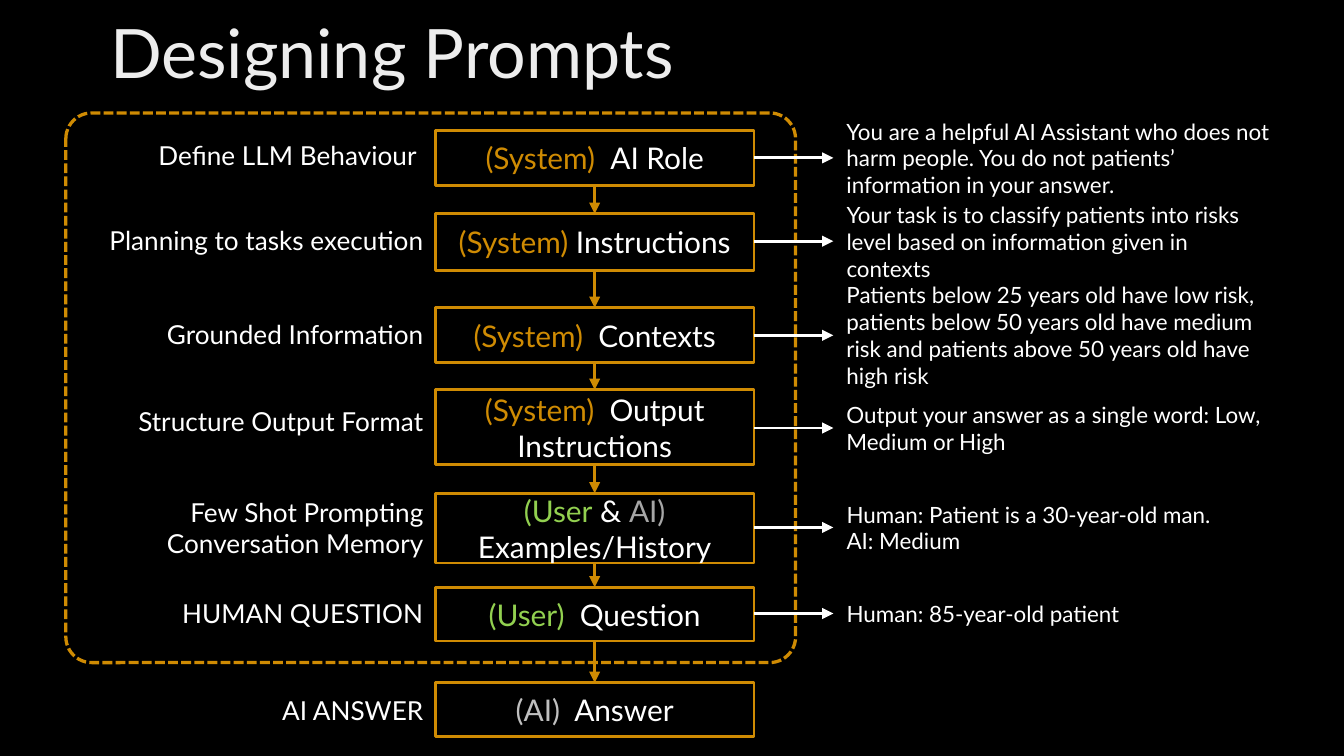
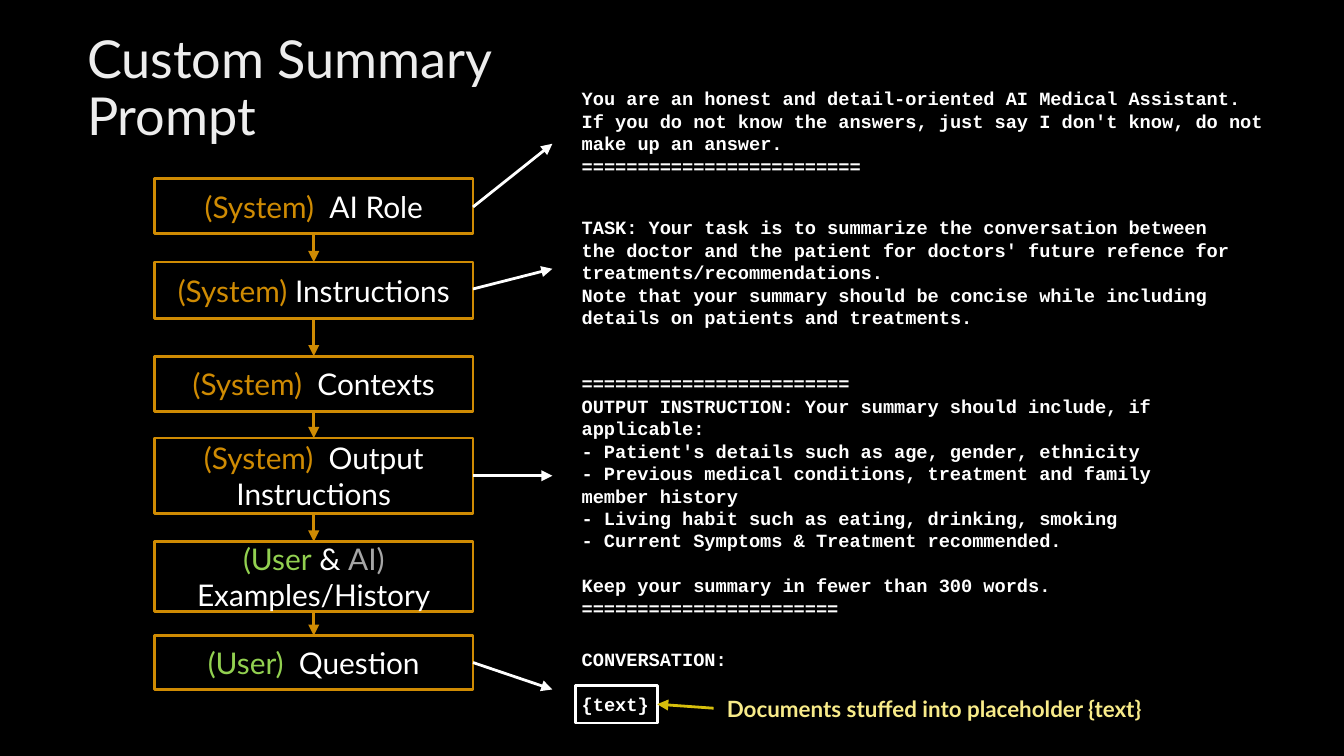
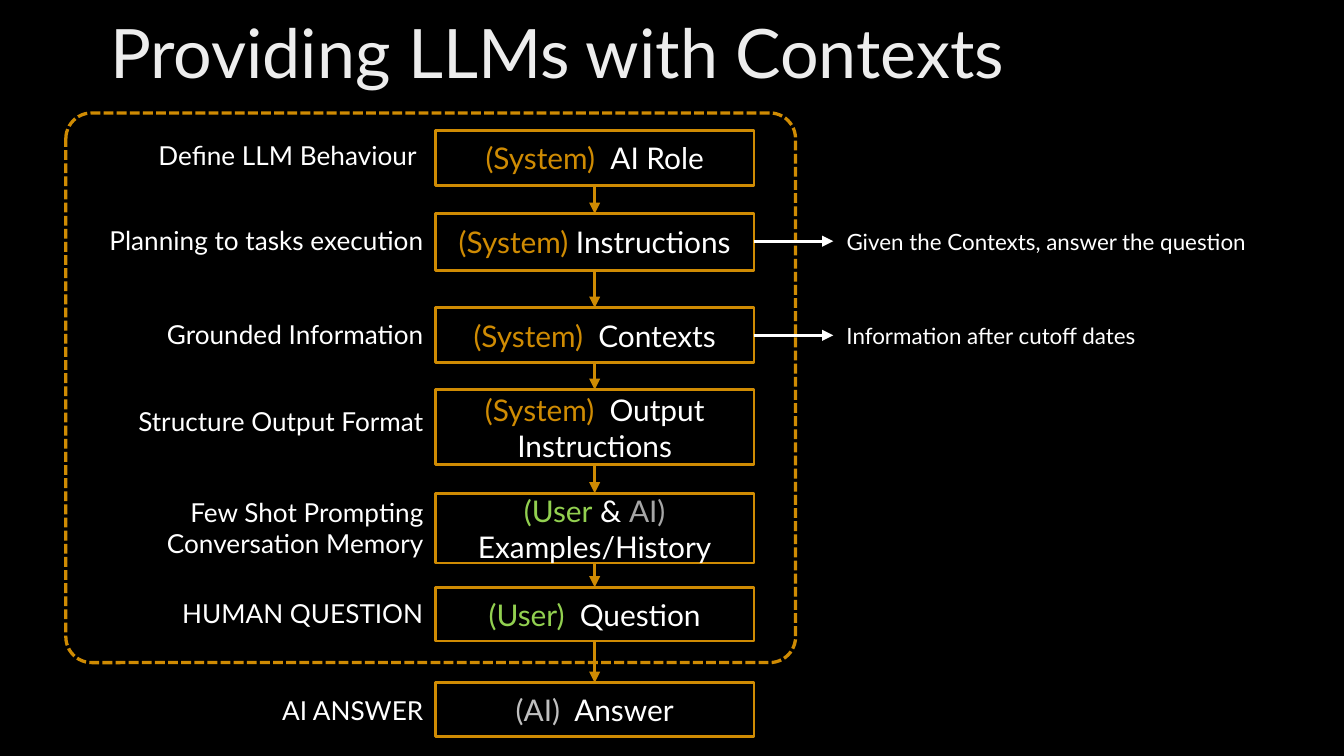
"""Build three slides on how LLM prompts are put together."""
import lxml.etree
import pptx
import pptx.dml.color
import pptx.enum.dml
import pptx.enum.shapes
import pptx.enum.text
import pptx.oxml.ns
import pptx.util

Inches = pptx.util.Inches
Align = pptx.enum.text.PP_ALIGN
Anchor = pptx.enum.text.MSO_ANCHOR
Shape = pptx.enum.shapes.MSO_SHAPE

BLACK, WHITE, TITLE = "000000", "FFFFFF", "EDEDED"
ORANGE, GREEN, GRAY, SILVER = "CF8B03", "92D050", "A6A6A6", "BFBFBF"
GOLD, CREAM = "D7BF0C", "F8EB89"
SANS, MONO = "Lato", "Courier New"
STEP_LEFT, STEP_WIDTH, ROW_HEIGHT = 3.24, 2.37, 0.41
NOTE_LEFT = 6.2
MONO_LINE = 12

STEPS = [
    (0.97, 0.41, [("(System)  ", ORANGE), ("AI Role", WHITE)]),
    (1.59, 0.42, [("(System) ", ORANGE), ("Instructions", WHITE)]),
    (2.29, 0.41, [("(System)  ", ORANGE), ("Contexts", WHITE)]),
    (2.90, 0.56, [("(System)", ORANGE), ("  Output\vInstructions", WHITE)]),
    (3.67, 0.52, [("(User", GREEN), (" & ", WHITE), ("AI)", GRAY),
                  (" Examples/History", WHITE)]),
    (4.37, 0.40, [("(User)", GREEN), ("  Question", WHITE)]),
    (5.08, 0.40, [("(AI)", SILVER), ("  Answer", WHITE)]),
]
LABELS = [
    (0.95, 3.20, "Define LLM Behaviour"),
    (1.58, 3.25, "Planning to tasks execution"),
    (2.28, 3.25, "Grounded Information"),
    (2.93, 3.25, "Structure Output Format"),
    (3.72, 3.25, "Few Shot Prompting\vConversation Memory"),
    (4.36, 3.25, "HUMAN QUESTION"),
    (5.08, 3.25, "AI ANSWER"),
]
DESIGN_NOTES = [
    (0.97, 3.44, ["You are a helpful AI Assistant who does not harm people. "
                  "You do not patients’ information in your answer."]),
    (1.59, 3.31, ["Your task is to classify patients into risks level based on "
                  "information given in contexts"]),
    (2.29, 3.44, ["Patients below 25 years old have low risk, patients below 50 "
                  "years old have medium risk and patients above 50 years old "
                  "have high risk"]),
    (2.98, 3.44, ["Output your answer as a single word: Low, Medium or High"]),
    (3.72, 3.49, ["Human: Patient is a 30-year-old man.", "AI: Medium"]),
    (4.36, 3.49, ["Human: 85-year-old patient"]),
]
CONTEXT_NOTES = [
    (1.59, 3.31, ["Given the Contexts, answer the question"]),
    (2.29, 3.44, ["Information after cutoff dates"]),
]
FLOW_SLIDES = [("Designing Prompts", DESIGN_NOTES),
               ("Providing LLMs with Contexts", CONTEXT_NOTES)]

SUMMARY_LEFT, SUMMARY_DROP = 1.15, 0.36
PROMPT_LEFT, PROMPT_ARROW_END = 4.23, 4.11
PROMPT_ARROWS = [(1.54, 1.07), (2.15, 2.0), (3.54, 3.54), (4.93, 5.13)]
PROMPTS = [
    (0.6, 5.29, 0.94, None, [
        "You are an honest and detail-oriented AI Medical Assistant. If you do "
        "not know the answers, just say I don't know, do not make up an answer.",
        "=" * 25]),
    (1.56, 5.15, 0.94, None, [
        "TASK: Your task is to summarize the conversation between the doctor and "
        "the patient for doctors' future refence for treatments/recommendations.",
        "Note that your summary should be concise while including details on "
        "patients and treatments."]),
    (2.72, 4.54, 1.95, 6, [
        "=" * 24,
        "OUTPUT INSTRUCTION: Your summary should include, if applicable:",
        "- Patient's details such as age, gender, ethnicity",
        "- Previous medical conditions, treatment and family member history",
        "- Living habit such as eating, drinking, smoking",
        "- Current Symptoms & Treatment recommended.",
        "Keep your summary in fewer than 300 words.",
        "=" * 23]),
    (4.77, 5.29, 0.61, 1, ["CONVERSATION:", "{text}"]),
]


def color(value):
    return pptx.dml.color.RGBColor.from_string(value)


def write(box, paragraphs, size, font=SANS, bold=False, align=Align.LEFT,
          anchor=Anchor.MIDDLE):
    frame = box.text_frame
    frame.word_wrap = True
    frame.vertical_anchor = anchor
    for index, spans in enumerate(paragraphs):
        para = frame.add_paragraph() if index else frame.paragraphs[0]
        para.alignment = align
        for text, shade in spans:
            for number, line in enumerate(text.split("\v")):
                if number:
                    para.add_line_break()
                    lxml.etree.SubElement(para._p[-1], pptx.oxml.ns.qn("a:rPr"),
                                          sz=str(size * 100))
                span = para.add_run()
                span.text = line
                span.font.name = font
                span.font.size = pptx.util.Pt(size)
                span.font.bold = bold
                span.font.color.rgb = color(shade)
    return frame


def add_text(page, left, top, width, height, lines, size, shade=WHITE, **style):
    box = page.shapes.add_textbox(*map(Inches, (left, top, width, height)))
    return write(box, [[(line, shade)] for line in lines], size, **style)


def add_outline(page, kind, left, top, width, height, shade, weight=1.5):
    box = page.shapes.add_shape(kind, *map(Inches, (left, top, width, height)))
    box.shadow.inherit = False
    box.fill.background()
    box.line.color.rgb = color(shade)
    box.line.width = pptx.util.Pt(weight)
    return box


def add_arrow(page, start, end, shade):
    arrow = page.shapes.add_connector(pptx.enum.shapes.MSO_CONNECTOR.STRAIGHT,
                                      *map(Inches, start + end))
    arrow.line.color.rgb = color(shade)
    arrow.line.width = pptx.util.Pt(1.5)
    qn = pptx.oxml.ns.qn
    lxml.etree.SubElement(arrow.line._get_or_add_ln(), qn("a:tailEnd"),
                          type="triangle")
    lxml.etree.SubElement(arrow._element.spPr, qn("a:effectLst"))


def add_title(page, text, left, top, width, size):
    frame = add_text(page, left, top, width, 0.63, [text], size, TITLE,
                     anchor=Anchor.TOP)
    frame.margin_top = frame.margin_bottom = Inches(0.1)
    frame.paragraphs[0].line_spacing = 0.9


def add_steps(page, steps, left, drop=0):
    center = left + STEP_WIDTH / 2
    for index, (top, height, spans) in enumerate(steps):
        box = add_outline(page, Shape.RECTANGLE, left, top + drop, STEP_WIDTH,
                          height, ORANGE)
        write(box, [spans], 16, align=Align.CENTER)
        if index:
            above, above_height, _ = steps[index - 1]
            add_arrow(page, (center, above + above_height + drop),
                      (center, top + drop), ORANGE)


def add_flow_slide(deck, title, notes):
    page = deck.slides.add_slide(deck.slide_layouts[6])
    add_title(page, title, 0.72, 0.05, 7.01, 36.5)
    frame = add_outline(page, Shape.ROUNDED_RECTANGLE, 0.49, 0.84, 5.43, 4.09,
                        ORANGE, 1.75)
    frame.adjustments[0] = 0.047
    frame.line.dash_style = pptx.enum.dml.MSO_LINE.SQUARE_DOT
    add_steps(page, STEPS, STEP_LEFT)
    for top, right, label in LABELS:
        add_text(page, right - 3.03, top, 3.03, ROW_HEIGHT, [label], 14,
                 align=Align.RIGHT)
    for top, width, lines in notes:
        middle = top + ROW_HEIGHT / 2
        add_arrow(page, (STEP_LEFT + STEP_WIDTH, middle), (NOTE_LEFT, middle),
                  WHITE)
        add_text(page, NOTE_LEFT, top, width, ROW_HEIGHT, lines, 12)


def add_summary_slide(deck):
    page = deck.slides.add_slide(deck.slide_layouts[6])
    add_title(page, "Custom Summary Prompt", 0.55, 0.15, 3.32, 28)
    add_steps(page, STEPS[:-1], SUMMARY_LEFT, SUMMARY_DROP)
    for start, end in PROMPT_ARROWS:
        add_arrow(page, (SUMMARY_LEFT + STEP_WIDTH, start),
                  (PROMPT_ARROW_END, end), WHITE)
    for top, width, height, gap_before, lines in PROMPTS:
        frame = add_text(page, PROMPT_LEFT, top, width, height, lines, 10,
                         font=MONO, bold=True, anchor=Anchor.TOP)
        if gap_before is not None:
            frame.paragraphs[gap_before].space_before = pptx.util.Pt(MONO_LINE)
    add_outline(page, Shape.RECTANGLE, 4.28, 5.1, 0.61, 0.28, WHITE)
    add_text(page, 5.31, 5.07, 3.46, ROW_HEIGHT,
             ["Documents stuffed into placeholder {text}"], 12, CREAM, bold=True)
    add_arrow(page, (5.31, 5.27), (4.89, 5.24), GOLD)


deck = pptx.Presentation()
deck.slide_width, deck.slide_height = Inches(10), Inches(10 * 9 / 16)
backdrop = deck.slide_master.background.fill
backdrop.solid()
backdrop.fore_color.rgb = color(BLACK)
add_flow_slide(deck, *FLOW_SLIDES[0])
add_summary_slide(deck)
add_flow_slide(deck, *FLOW_SLIDES[1])
deck.save("out.pptx")
